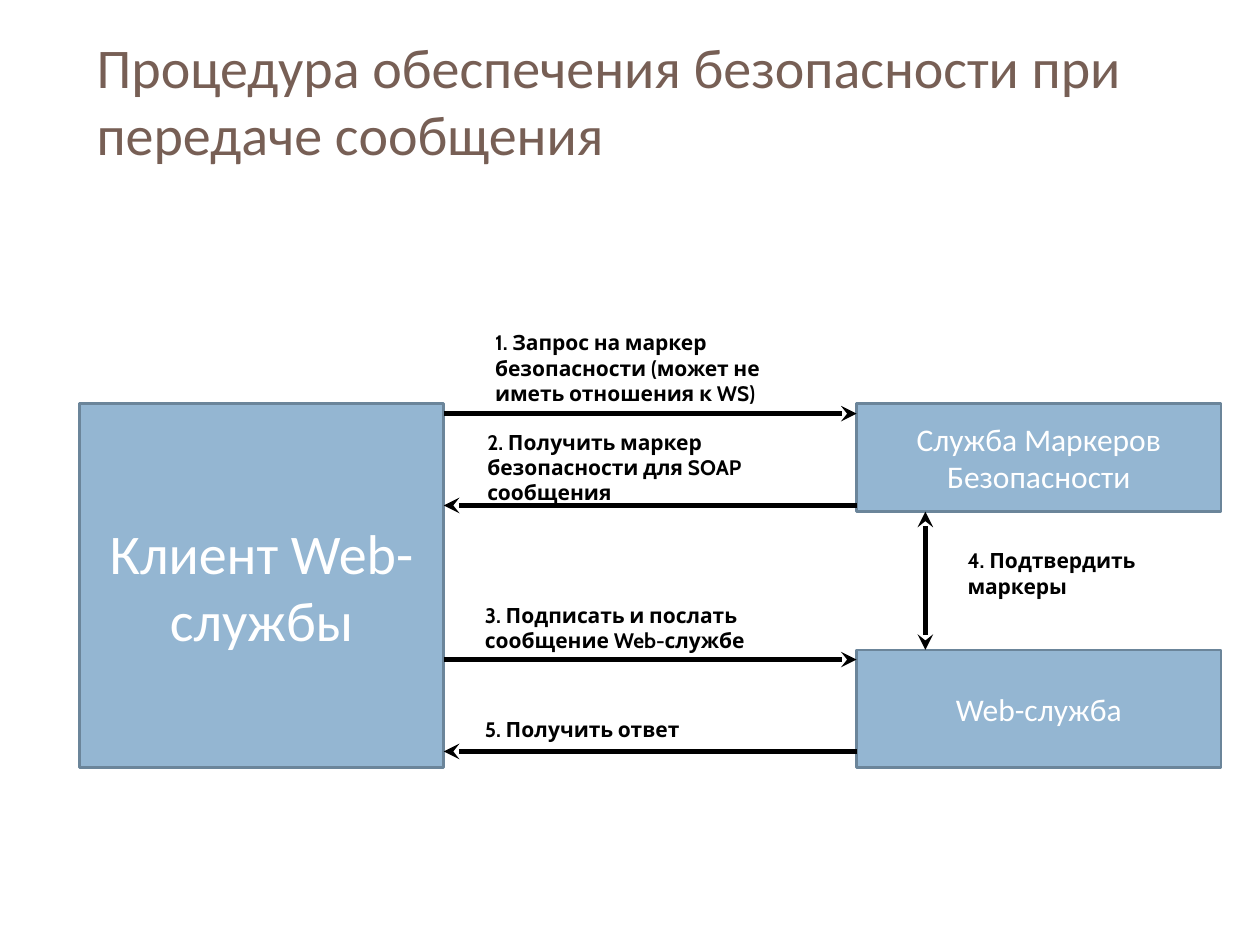
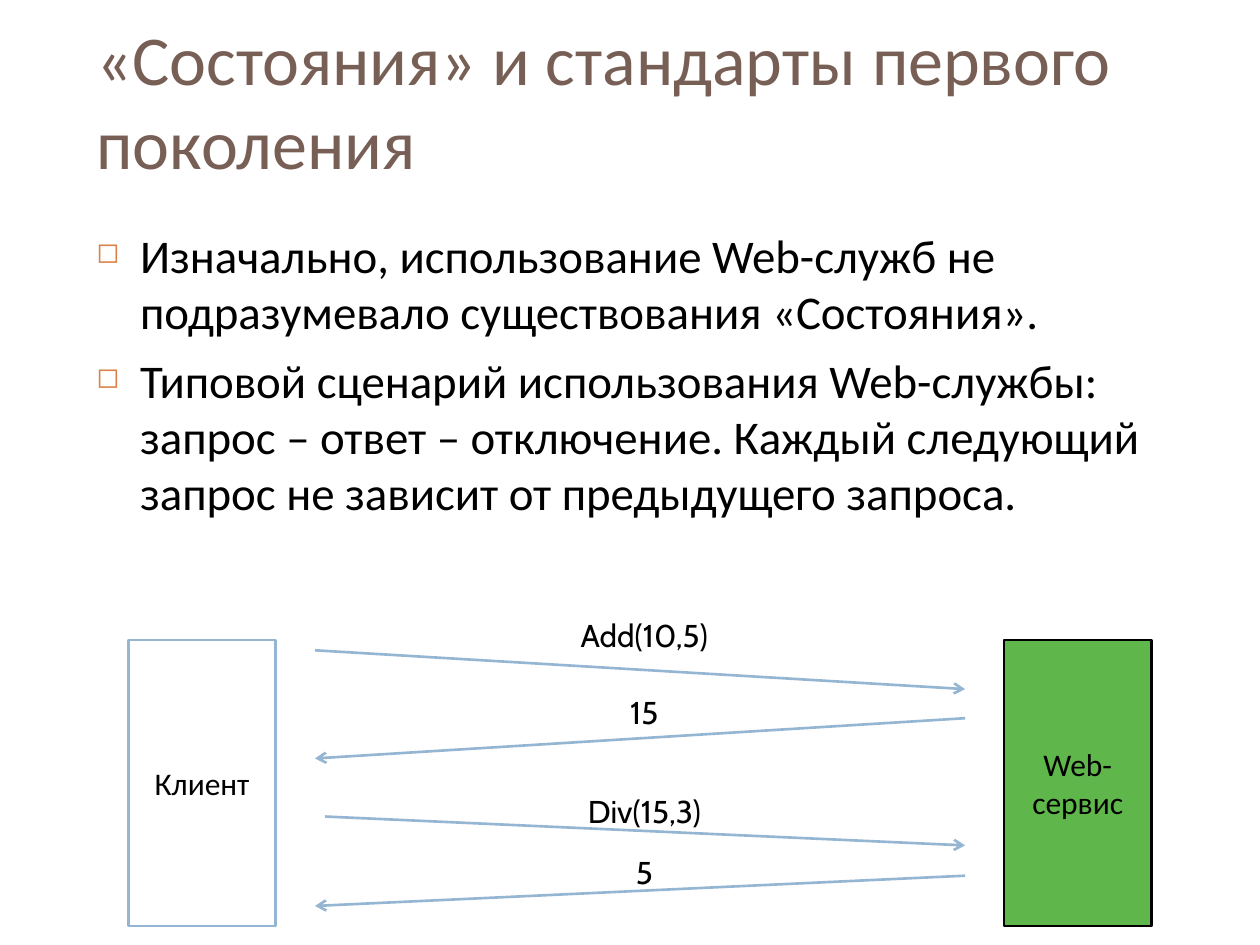
"""Two slides on web service security and stateless message exchange."""
from dataclasses import dataclass

from lxml import etree
from pptx import Presentation
from pptx.dml.color import RGBColor
from pptx.enum.shapes import MSO_CONNECTOR, MSO_SHAPE
from pptx.enum.text import MSO_ANCHOR, PP_ALIGN
from pptx.oxml.ns import qn
from pptx.util import Pt

RECTANGLE = MSO_SHAPE.RECTANGLE
STRAIGHT = MSO_CONNECTOR.STRAIGHT
MIDDLE, TOP = MSO_ANCHOR.MIDDLE, MSO_ANCHOR.TOP
LEFT, CENTER = PP_ALIGN.LEFT, PP_ALIGN.CENTER
TITLE_ONLY = 5


@dataclass(frozen=True)
class Theme:
    """Colours, fonts and sizes shared by the slides."""
    title: str = "775F55"
    blue: str = "94B6D2"
    blue_edge: str = "6B859A"
    green: str = "5FB64A"
    bullet: str = "DD8047"
    black: str = "000000"
    white: str = "FFFFFF"
    main_font: str = "Calibri"
    label_font: str = "Cabin"
    large: float = 32
    huge: float = 40
    body: float = 26.8
    medium: float = 18
    small: float = 12
    thin: float = 1.5
    thick: float = 3


THEME = Theme()
TITLE_BOX = (48, 18, 642, 78)
BODY_BOX = (48, 126, 642, 217)
SECURITY_BOX = (45.4, 230.4, 652.3, 208.2)
EXCHANGE_BOX = (73.4, 365.8, 584.6, 163.4)


def rgb(color):
    """Turn a hex string into a colour."""
    return RGBColor.from_string(color)


def place(region, left, top, width, height):
    """Return lengths for a part placed relative to its region."""
    return [Pt(value) for value in (region[0] + left, region[1] + top, width, height)]


def write(para, text, size, color, font=THEME.main_font, bold=False, align=LEFT):
    """Add one formatted run to a paragraph."""
    para.alignment = align
    span = para.add_run()
    span.text = text
    span.font.name, span.font.size, span.font.bold = font, Pt(size), bold
    span.font.color.rgb = rgb(color)


def add_title_page(deck, text, size):
    """Add a page with its title placed and formatted."""
    page = deck.slides.add_slide(deck.slide_layouts[TITLE_ONLY])
    title = page.shapes.title
    title.left, title.top, title.width, title.height = place(TITLE_BOX, 0, 0, *TITLE_BOX[2:])
    frame = title.text_frame
    frame.word_wrap, frame.vertical_anchor = True, MIDDLE
    write(frame.paragraphs[0], text, size, THEME.title)
    return page


def add_node(page, position, text, size, fill, edge, color):
    """Add a rectangle with centred text."""
    box = page.shapes.add_shape(RECTANGLE, *position)
    box.shadow.inherit = False
    box.fill.solid()
    box.fill.fore_color.rgb = rgb(fill)
    box.line.color.rgb = rgb(edge)
    box.line.width = Pt(THEME.thin)
    frame = box.text_frame
    frame.word_wrap, frame.vertical_anchor = True, MIDDLE
    write(frame.paragraphs[0], text, size, color, align=CENTER)


def add_label(page, position, text, size, bold=False, align=LEFT):
    """Add a wrapped caption."""
    frame = page.shapes.add_textbox(*position).text_frame
    frame.word_wrap, frame.vertical_anchor = True, TOP
    write(frame.paragraphs[0], text, size, THEME.black, THEME.label_font, bold, align)


def add_arrow(page, region, start, end, color, width, kind, both=False):
    """Add an arrow between two points of a region."""
    points = [Pt(region[axis] + point[axis]) for point in (start, end) for axis in (0, 1)]
    arrow = page.shapes.add_connector(STRAIGHT, *points)
    arrow.line.color.rgb = rgb(color)
    arrow.line.width = Pt(width)
    line = arrow.line._get_or_add_ln()
    for tag in ("a:headEnd", "a:tailEnd") if both else ("a:tailEnd",):
        etree.SubElement(line, qn(tag), type=kind)
    etree.SubElement(arrow._element.spPr, qn("a:effectLst"))


def add_bullets(page, region, items):
    """Add a list with hollow square bullets."""
    frame = page.shapes.add_textbox(*place(region, 0, 0, *region[2:])).text_frame
    frame.word_wrap = True
    for index, item in enumerate(items):
        para = frame.add_paragraph() if index else frame.paragraphs[0]
        if index:
            para.space_before = Pt(7)
        props = para._p.get_or_add_pPr()
        props.set("marL", str(Pt(25)))
        props.set("indent", str(-Pt(25)))
        color = etree.SubElement(props, qn("a:buClr"))
        etree.SubElement(color, qn("a:srgbClr"), val=THEME.bullet)
        etree.SubElement(props, qn("a:buSzPct"), val="60000")
        etree.SubElement(props, qn("a:buChar"), char="◻")
        write(para, item, THEME.body, THEME.black)


def draw_security(page, region):
    """Draw the client, the two services and the numbered messages."""
    side = region[3]
    right = region[2] - side
    nodes = (
        (0, 0, side, "Клиент Web-службы", THEME.large),
        (right, 0, 62, "Служба Маркеров Безопасности", THEME.medium),
        (right, 141, side - 141, "Web-служба", THEME.medium),
    )
    for left, top, height, text, size in nodes:
        add_node(page, place(region, left, top, side, height), text, size,
                 THEME.blue, THEME.blue_edge, THEME.white)
    labels = (
        (230.4, -45.4, 186, 50, "1. Запрос на маркер безопасности (может не иметь отношения к WS)"),
        (226, 11.5, 186, 50, "2. Получить маркер безопасности для SOAP сообщения"),
        (224.6, 110.2, 186, 36, "3. Подписать и послать сообщение Web-службе"),
        (500.4, 79.2, 124, 36, "4. Подтвердить маркеры"),
        (224.6, 175.7, 186, 22, "5. Получить ответ"),
    )
    for *position, text in labels:
        add_label(page, place(region, *position), text, THEME.small, bold=True)
    style = (THEME.black, THEME.thick, "stealth")
    for index, level in enumerate((6, 58.4, 146.5, 199)):
        start, end = (right, side) if index % 2 else (side, right)
        add_arrow(page, region, (start, level), (end, level), *style)
    add_arrow(page, region, (483.4, 141), (483.4, 62), *style, both=True)


def draw_exchange(page, region):
    """Draw the client, the service and their calls and replies."""
    width, node_width, label_width = region[2], 84.2, 140.4
    nodes = (
        (0, "Клиент", THEME.white, THEME.blue),
        (width - node_width, "Web-сервис", THEME.green, THEME.black),
    )
    for left, text, fill, edge in nodes:
        add_node(page, place(region, left, 0, node_width, region[3]), text,
                 THEME.medium, fill, edge, THEME.black)
    near, far = 106.6, 478.1
    messages = (
        ("Add(10,5)", -17.3, (near, 5.8), (far, 28)),
        ("15", 26.6, (far, 44.6), (near, 67.6)),
        ("Div(15,3)", 83.5, (near + 5.8, 100.8), (far, 117.3)),
        ("5", 118, (far, 134.6), (near, 151.9)),
    )
    for text, top, start, end in messages:
        add_arrow(page, region, start, end, THEME.blue, THEME.thin, "arrow")
        add_label(page, place(region, 224.6, top, label_width, 29), text,
                  THEME.medium, align=CENTER)


def main():
    """Build and save the deck."""
    deck = Presentation()
    deck.slide_width, deck.slide_height = Pt(720), Pt(540)
    page = add_title_page(deck, "Процедура обеспечения безопасности при передаче сообщения",
                          THEME.large)
    draw_security(page, SECURITY_BOX)
    page = add_title_page(deck, "«Состояния» и стандарты первого поколения", THEME.huge)
    add_bullets(page, BODY_BOX, (
        "Изначально, использование Web-служб не подразумевало существования «Состояния».",
        "Типовой сценарий использования Web-службы: запрос – ответ – отключение. "
        "Каждый следующий запрос не зависит от предыдущего запроса.",
    ))
    draw_exchange(page, EXCHANGE_BOX)
    deck.save("out.pptx")


if __name__ == "__main__":
    main()
